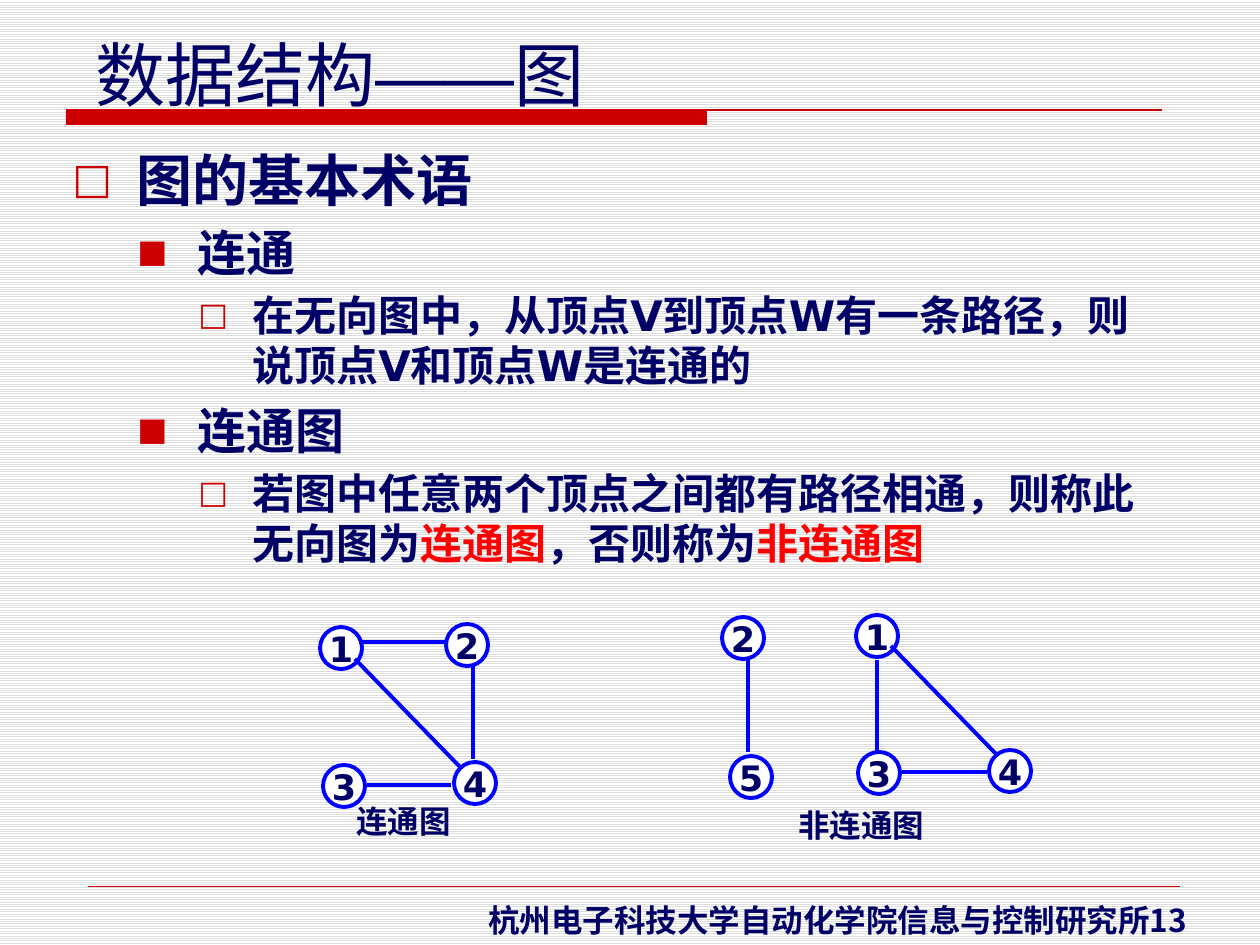
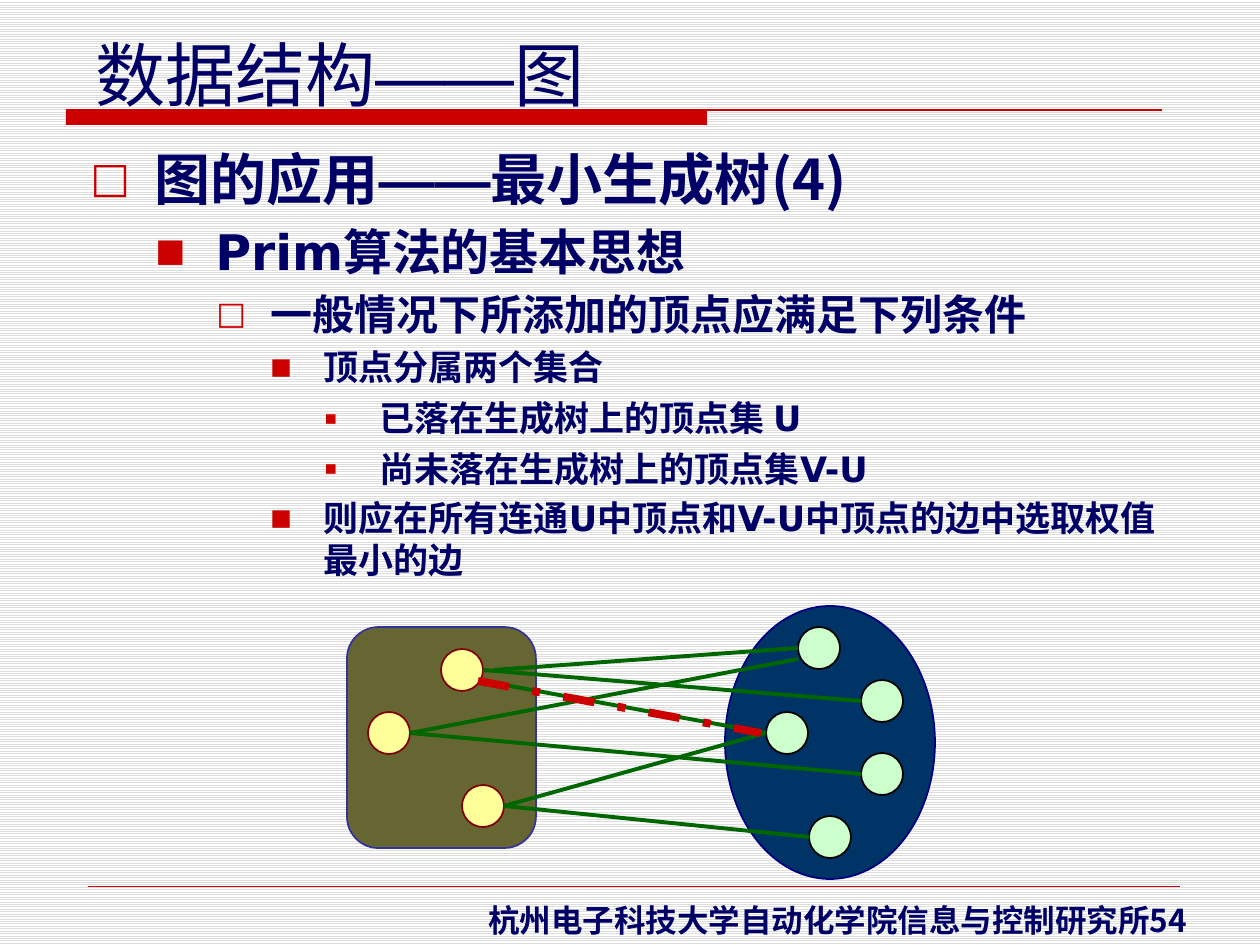
from dataclasses import dataclass

from lxml import etree
from pptx import Presentation
from pptx.dml.color import RGBColor
from pptx.enum.dml import MSO_LINE, MSO_PATTERN
from pptx.enum.shapes import MSO_CONNECTOR, MSO_SHAPE as SHAPE
from pptx.enum.text import MSO_ANCHOR, PP_ALIGN
from pptx.oxml.ns import qn
from pptx.util import Pt

PX = 914400 / 126


@dataclass(frozen=True)
class Theme:
    ink: str = "000066"
    accent: str = "CC0000"
    highlight: str = "FF0000"
    stripe: str = "DDDDDD"
    white: str = "FFFFFF"
    graph_line: str = "0000FF"
    tree_fill: str = "666633"
    tree_line: str = "333399"
    rest_fill: str = "003366"
    rest_line: str = "000082"
    tree_vertex: str = "FFFF99"
    tree_vertex_line: str = "800000"
    rest_vertex: str = "CCFFCC"
    rest_vertex_line: str = "000000"
    edge: str = "006600"
    font: str = "DejaVu Sans"
    cjk_font: str = "Noto Sans CJK SC"
    dash_font: str = "Arial"
    title_size: int = 40
    caption_size: int = 18
    vertex_size: int = 20
    body_sizes: tuple = (32, 28, 24, 20, 20)


THEME = Theme()
DASH = ("——", {"font": THEME.dash_font})
TITLE = ["数据结构", DASH, "图"]
INSTITUTE = "杭州电子科技大学自动化学院信息与控制研究所"

# For each level: left margin px, hanging px, bullet, bullet size %, space before %
LEVELS = [
    (64, 64, "□", 75, 20),
    (125, 60, "■", 65, 20),
    (180, 54, "□", 75, 20),
    (233, 53, "■", 65, 20),
    (289, 55, "▪", 55, 25),
]
VERTEX = 42


def emu(*lengths):
    return [round(length * PX) for length in lengths]


def rgb(color):
    return RGBColor.from_string(color)


def add_xml(parent, tag, **attributes):
    return etree.SubElement(parent, qn(tag), attributes)


def add_spans(para, spans, size, bold=True, font=THEME.font):
    """Add runs; a span is a string or a (string, overrides) pair."""
    for item in spans:
        text, changes = (item, {}) if isinstance(item, str) else item
        name = changes.get("font", font)
        span = para.add_run()
        span.text = text
        span.font.size = Pt(size)
        span.font.bold = bold
        span.font.name = name
        span.font.color.rgb = rgb(changes.get("color", THEME.ink))
        east_asian = name if name == THEME.dash_font else THEME.cjk_font
        add_xml(span.font._element, "a:ea", typeface=east_asian)


def add_label(shapes, box, spans, size, **style):
    frame = shapes.add_textbox(*emu(*box)).text_frame
    frame.word_wrap = False
    add_spans(frame.paragraphs[0], spans, size, **style)


def add_figure(shapes, kind, box, fill, line, width=1):
    shape = shapes.add_shape(kind, *emu(*box))
    shape.shadow.inherit = False
    shape.fill.solid()
    shape.fill.fore_color.rgb = rgb(fill)
    if line:
        shape.line.color.rgb = rgb(line)
        shape.line.width = Pt(width)
    else:
        shape.line.fill.background()
    return shape


def add_line(shapes, start, end, color, width):
    line = shapes.add_connector(MSO_CONNECTOR.STRAIGHT, *emu(*start, *end))
    line.line.color.rgb = rgb(color)
    line.line.width = Pt(width)
    add_xml(line._element.spPr, "a:effectLst")
    return line


def add_page(deck, number):
    """Add a page with the striped background, title rule and footer."""
    page = deck.slides.add_slide(deck.slide_layouts[6])
    fill = page.background.fill
    fill.patterned()
    fill.pattern = MSO_PATTERN.LIGHT_HORIZONTAL
    fill.fore_color.rgb = rgb(THEME.stripe)
    fill.back_color.rgb = rgb(THEME.white)

    shapes = page.shapes
    add_figure(shapes, SHAPE.RECTANGLE, (66, 110, 641, 15), THEME.accent, None)
    add_line(shapes, (66, 110), (1162, 110), THEME.accent, 0.75)
    add_line(shapes, (88, 886), (1180, 886), THEME.accent, 0.25)
    add_label(shapes, (83, 25, 515, 97), TITLE, THEME.title_size, bold=False)
    add_label(shapes, (476, 895, 770, 50), [f"{INSTITUTE}{number}"],
              THEME.caption_size, font=THEME.cjk_font)
    return page


def add_outline(page, box, lines):
    """Fill a box with bulleted lines, each a (level, spans) pair."""
    frame = page.shapes.add_textbox(*emu(*box)).text_frame
    frame.word_wrap = True
    for index, (level, spans) in enumerate(lines):
        para = frame.add_paragraph() if index else frame.paragraphs[0]
        margin, hanging, bullet, bullet_size, space = LEVELS[level]
        para.level = level
        props = para._p.get_or_add_pPr()
        left, indent = emu(margin, -hanging)
        props.set("marL", str(left))
        props.set("indent", str(indent))
        if index:
            before = add_xml(props, "a:spcBef")
            add_xml(before, "a:spcPct", val=str(space * 1000))
        add_xml(add_xml(props, "a:buClr"), "a:srgbClr", val=THEME.accent)
        add_xml(props, "a:buSzPct", val=str(bullet_size * 1000))
        add_xml(props, "a:buFont", typeface=THEME.font)
        add_xml(props, "a:buChar", char=bullet)
        add_spans(para, spans, THEME.body_sizes[level])


def add_graph(page, origin, vertices, edges, caption, caption_box):
    """Draw a captioned graph as a group, all parts relative to origin."""
    left, top = origin
    shapes = page.shapes.add_group_shape().shapes
    for name, (x, y) in vertices.items():
        vertex = add_figure(shapes, SHAPE.OVAL, (left + x, top + y, VERTEX, VERTEX),
                            THEME.white, THEME.graph_line, 2.25)
        frame = vertex.text_frame
        frame.word_wrap = False
        frame.vertical_anchor = MSO_ANCHOR.MIDDLE
        para = frame.paragraphs[0]
        para.alignment = PP_ALIGN.CENTER
        add_spans(para, [name], THEME.vertex_size)
    for x1, y1, x2, y2 in edges:
        add_line(shapes, (left + x1, top + y1), (left + x2, top + y2),
                 THEME.graph_line, 2.25)
    x, y, width, height = caption_box
    add_label(shapes, (left + x, top + y, width, height), [caption],
              THEME.caption_size)


def add_vertex_sets(page, origin):
    """Draw the tree set U, the remaining set V-U and the edges between them."""
    left, top = origin
    shapes = page.shapes
    tree = {"u1": (94, 43), "u2": (21, 106), "u3": (115, 179)}
    rest = {"v1": (451, 21), "v2": (514, 74), "v3": (462, 210),
            "v4": (419, 106), "v5": (514, 147)}
    # Each edge: tree vertex, other vertex, offsets of its start and end
    edges = [
        ("u1", "v1", (11, 0), (0, 0)),
        ("u2", "v5", (0, 0), (0, 0)),
        ("u3", "v3", (0, 0), (0, 0)),
        ("u3", "v4", (0, 0), (0, 0)),
        ("u1", "v2", (0, 0), (0, 0)),
        ("u2", "v1", (0, 0), (0, 11)),
        ("u1", "v4", (0, 11), (0, 0)),
    ]
    shortest = ("u1", "v4", (-5, 11), (-5, 0))

    add_figure(shapes, SHAPE.ROUNDED_RECTANGLE, (left, top + 21, 189, 221),
               THEME.tree_fill, THEME.tree_line)
    add_figure(shapes, SHAPE.OVAL, (left + 378, top, 210, 273),
               THEME.rest_fill, THEME.rest_line)
    for vertices, fill, line in (
        (tree, THEME.tree_vertex, THEME.tree_vertex_line),
        (rest, THEME.rest_vertex, THEME.rest_vertex_line),
    ):
        for x, y in vertices.values():
            add_figure(shapes, SHAPE.OVAL, (left + x, top + y, VERTEX, VERTEX),
                       fill, line)

    def join(edge, color, width):
        source, target, (dx1, dy1), (dx2, dy2) = edge
        x1, y1 = tree[source]
        x2, y2 = rest[target]
        middle = top + VERTEX // 2
        return add_line(shapes, (left + x1 + VERTEX + dx1, middle + y1 + dy1),
                        (left + x2 + dx2, middle + y2 + dy2), color, width)

    for edge in edges:
        join(edge, THEME.edge, 2.25)
    join(shortest, THEME.accent, 4.5).line.dash_style = MSO_LINE.DASH_DOT


def build_connectivity(deck):
    page = add_page(deck, 13)
    red = {"color": THEME.highlight}
    add_outline(page, (60, 139, 1104, 784), [
        (0, ["图的基本术语"]),
        (1, ["连通"]),
        (2, ["在无向图中，从顶点V到顶点W有一条路径，则说顶点V和顶点W是连通的"]),
        (1, ["连通图"]),
        (2, ["若图中任意两个顶点之间都有路径相通，则称此无向图为",
             ("连通图", red), "，否则称为", ("非连通图", red)]),
    ])
    add_graph(
        page, (320, 624),
        {"1": (0, 3), "2": (126, 0), "3": (3, 141), "4": (134, 138)},
        [(39, 18, 126, 18), (47, 161, 131, 161),
         (153, 41, 153, 135), (35, 35, 142, 145)],
        "连通图", (24, 172, 121, 50))
    add_graph(
        page, (722, 615),
        {"2": (0, 2), "5": (8, 141), "1": (134, 0), "3": (136, 137), "4": (267, 135)},
        [(26, 44, 26, 137), (180, 157, 265, 157),
         (155, 45, 155, 138), (169, 31, 276, 141)],
        "非连通图", (64, 185, 152, 50))


def build_spanning_tree(deck):
    page = add_page(deck, 54)
    add_outline(page, (78, 138, 1103, 736), [
        (0, ["图的应用", DASH, "最小生成树", ("(4)", {"font": THEME.cjk_font})]),
        (1, ["Prim算法的基本思想"]),
        (2, ["一般情况下所添加的顶点应满足下列条件"]),
        (3, ["顶点分属两个集合"]),
        (4, ["已落在生成树上的顶点集 U"]),
        (4, ["尚未落在生成树上的顶点集V-U"]),
        (3, ["则应在所有连通U中顶点和V-U中顶点的边中选取权值最小的边"]),
    ])
    add_vertex_sets(page, (347, 606))


def main():
    deck = Presentation()
    deck.slide_width, deck.slide_height = emu(1260, 945)
    build_connectivity(deck)
    build_spanning_tree(deck)
    deck.save("out.pptx")


if __name__ == "__main__":
    main()
